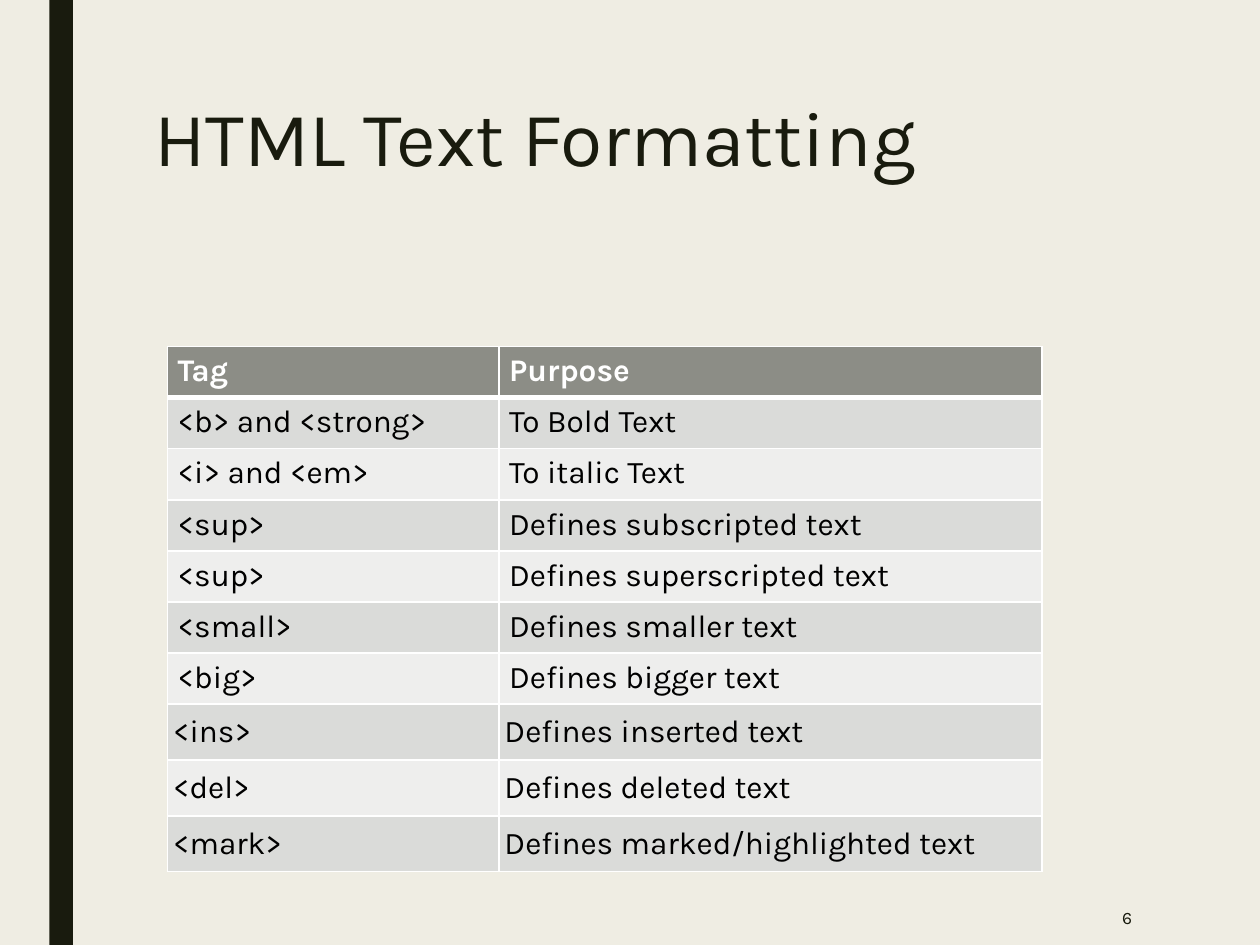
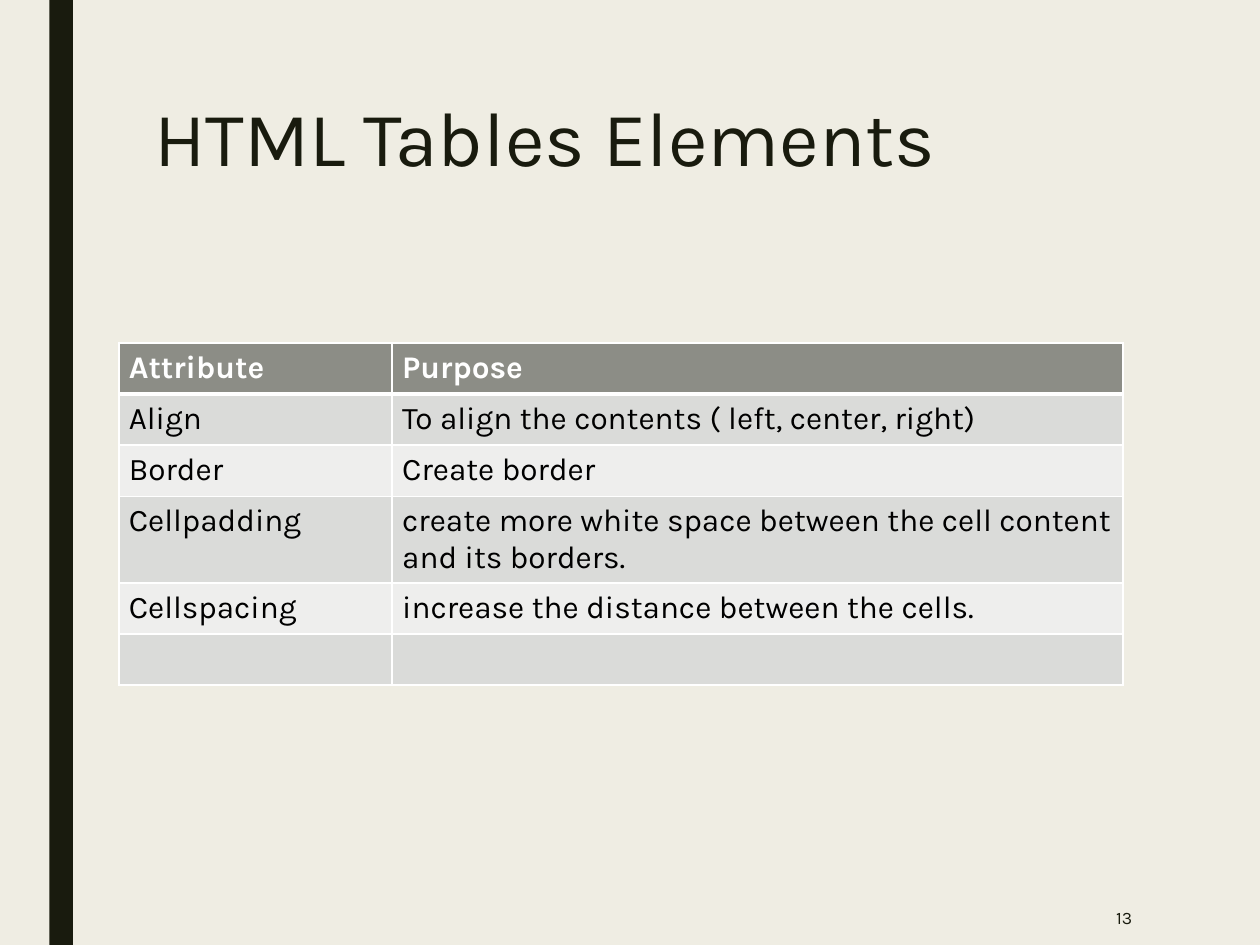
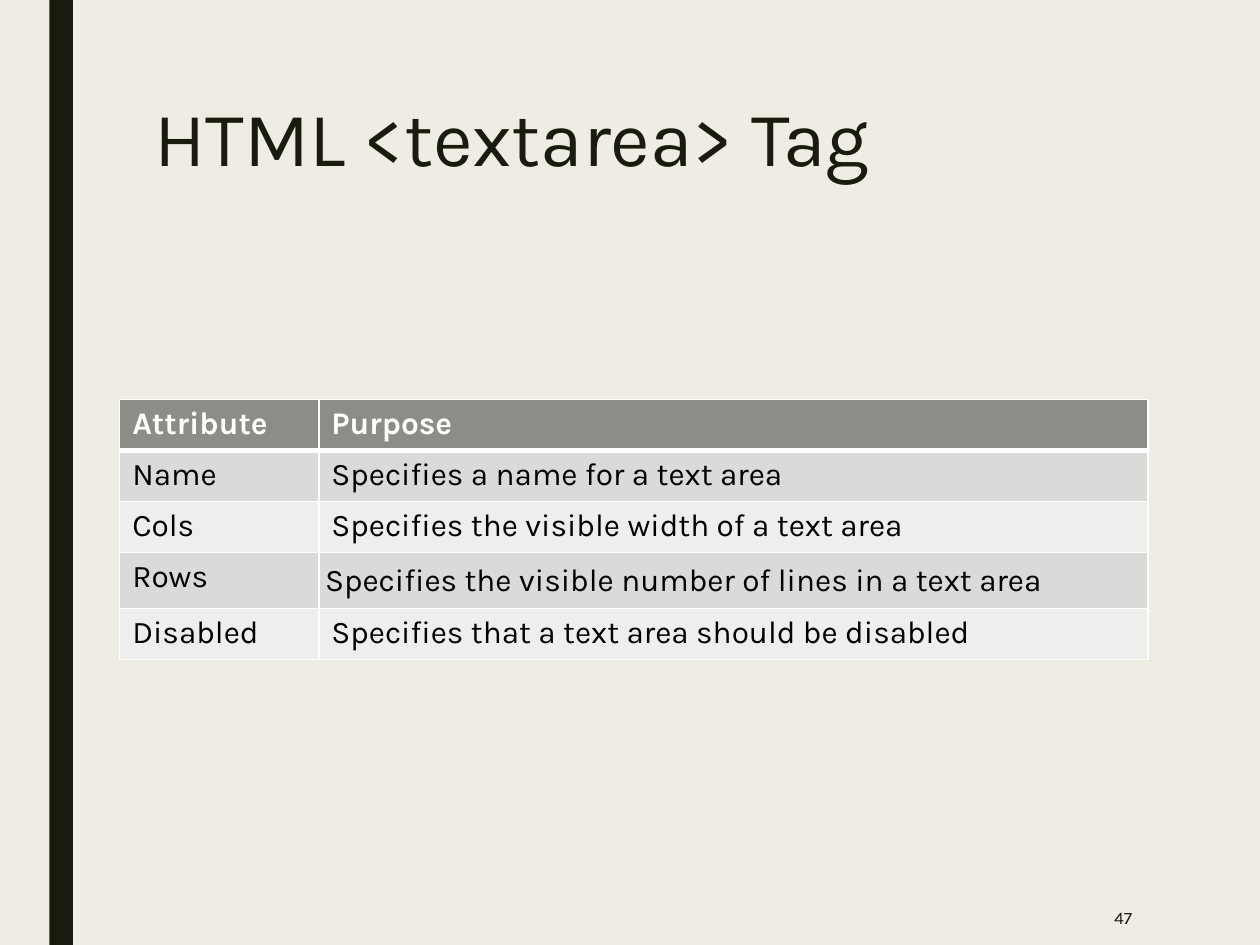
from lxml import etree
from pptx import Presentation
from pptx import util as u
from pptx.dml.color import RGBColor
from pptx.enum import shapes, text
from pptx.oxml.ns import qn

Pt = u.Pt
FONT = "Karla"
COLORS = {
    "paper": "EFEDE3",
    "ink": "191B0E",
    "header": "8C8D86",
    "odd": "DADBD9",
    "even": "EEEEED",
    "white": "FFFFFF",
    "black": "000000",
}
ROW_HEIGHT = 29.2
# Horizontal and vertical cell margins
SNUG = (5.76, 3.6)
TIGHT = (3.1, 5.4)
WIDE = (7.2, 3.6)
TALL = (3.6, 5.4)

SLIDES = [
    {
        "title": "HTML Text Formatting",
        "number": 6,
        "at": (95.8, 198),
        "columns": (189.4, 310.3),
        "margins": SNUG,
        "special": {(row, col): TIGHT for row in (7, 8, 9) for col in (0, 1)},
        "rows": [
            ("Tag", "Purpose"),
            ("<b> and <strong>", "To Bold Text"),
            ("<i> and <em>", "To italic Text"),
            ("<sup>", "Defines subscripted text"),
            ("<sup>", "Defines superscripted text"),
            ("<small>", "Defines smaller text"),
            ("<big>", "Defines bigger text"),
            ("<ins>", "Defines inserted text"),
            ("<del>", "Defines deleted text"),
            ("<mark>", "Defines marked/highlighted text"),
        ],
    },
    {
        "title": "HTML Tables Elements",
        "number": 13,
        "at": (67.9, 196),
        "columns": (156.2, 417.6),
        "margins": SNUG,
        "special": {},
        "rows": [
            ("Attribute", "Purpose"),
            ("Align", "To align the contents ( left, center, right)"),
            ("Border", "Create border"),
            ("Cellpadding", "create more white space between the cell content and its borders."),
            ("Cellspacing", "increase the distance between the cells."),
            ("", ""),
        ],
    },
    {
        "title": "HTML <textarea> Tag",
        "number": 47,
        "at": (68.4, 228.2),
        "columns": (113.8, 473.8),
        "margins": WIDE,
        "special": {(3, 1): TALL},
        "rows": [
            ("Attribute", "Purpose"),
            ("Name", "Specifies a name for a text area"),
            ("Cols", "Specifies the visible width of a text area"),
            ("Rows", "Specifies the visible number of lines in a text area"),
            ("Disabled", "Specifies that a text area should be disabled"),
        ],
    },
]


def paint(fill, color):
    fill.solid()
    fill.fore_color.rgb = RGBColor.from_string(COLORS[color])


def write(frame, words, size=18, color="ink", bold=False,
          align=text.PP_ALIGN.LEFT, spacing=None):
    para = frame.paragraphs[0]
    para.alignment = align
    para.line_spacing = spacing
    if not words:
        return
    span = para.add_run()
    span.text = words
    span.font.name = FONT
    span.font.size = Pt(size)
    span.font.bold = bold
    span.font.color.rgb = RGBColor.from_string(COLORS[color])


def set_borders(cell, top, bottom):
    props = cell._tc.get_or_add_tcPr()
    for side, width in (("L", 1), ("R", 1), ("T", top), ("B", bottom)):
        line = etree.SubElement(props, qn(f"a:ln{side}"), w=str(Pt(width)))
        solid = etree.SubElement(line, qn("a:solidFill"))
        etree.SubElement(solid, qn("a:srgbClr"), val=COLORS["white"])


def style_layout(deck, layout, slide):
    """Give the master its background and the layout its side band."""
    paint(deck.slide_master.background.fill, "paper")
    band = slide.shapes.add_shape(shapes.MSO_SHAPE.RECTANGLE, Pt(28.2), 0,
                                  Pt(13.5), deck.slide_height)
    band.shadow.inherit = False
    paint(band.fill, "ink")
    band.line.fill.background()
    band.element.nvSpPr.cNvPr.id = 20
    layout.shapes.element.insert(2, band.element)


def add_title(slide, words):
    title = slide.shapes.title
    title.left, title.top, title.width, title.height = map(Pt, (81, 54, 567, 117))
    frame = title.text_frame
    frame.auto_size = text.MSO_AUTO_SIZE.NONE
    frame.vertical_anchor = text.MSO_ANCHOR.TOP
    write(frame, words, size=44, spacing=0.89)


def add_number(slide, number):
    box = slide.shapes.add_textbox(Pt(559.5), Pt(508.5), Pt(94.5), Pt(31.5))
    frame = box.text_frame
    frame.word_wrap = True
    frame.vertical_anchor = text.MSO_ANCHOR.MIDDLE
    write(frame, str(number), size=10, align=text.PP_ALIGN.RIGHT)


def add_grid(slide, page):
    rows, columns = page["rows"], page["columns"]
    left, top = page["at"]
    table = slide.shapes.add_table(
        len(rows), len(columns), Pt(left), Pt(top),
        Pt(sum(columns)), Pt(ROW_HEIGHT * len(rows))).table
    for column, width in zip(table.columns, columns):
        column.width = Pt(width)
    for r, row in enumerate(rows):
        table.rows[r].height = Pt(ROW_HEIGHT)
        header = r == 0
        fill = "header" if header else "odd" if r % 2 else "even"
        for c, words in enumerate(row):
            cell = table.cell(r, c)
            across, down = page["special"].get((r, c), page["margins"])
            cell.margin_left = cell.margin_right = Pt(across)
            cell.margin_top = cell.margin_bottom = Pt(down)
            set_borders(cell, top=3 if r == 1 else 1, bottom=3 if header else 1)
            paint(cell.fill, fill)
            write(cell.text_frame, words, bold=header,
                  color="white" if header else "black")


def main():
    deck = Presentation()
    deck.slide_width, deck.slide_height = Pt(720), Pt(540)
    layout = deck.slide_layouts.get_by_name("Title Only")
    for index, page in enumerate(SLIDES):
        slide = deck.slides.add_slide(layout)
        if index == 0:
            style_layout(deck, layout, slide)
        add_title(slide, page["title"])
        add_grid(slide, page)
        add_number(slide, page["number"])
    deck.save("out.pptx")


if __name__ == "__main__":
    main()
